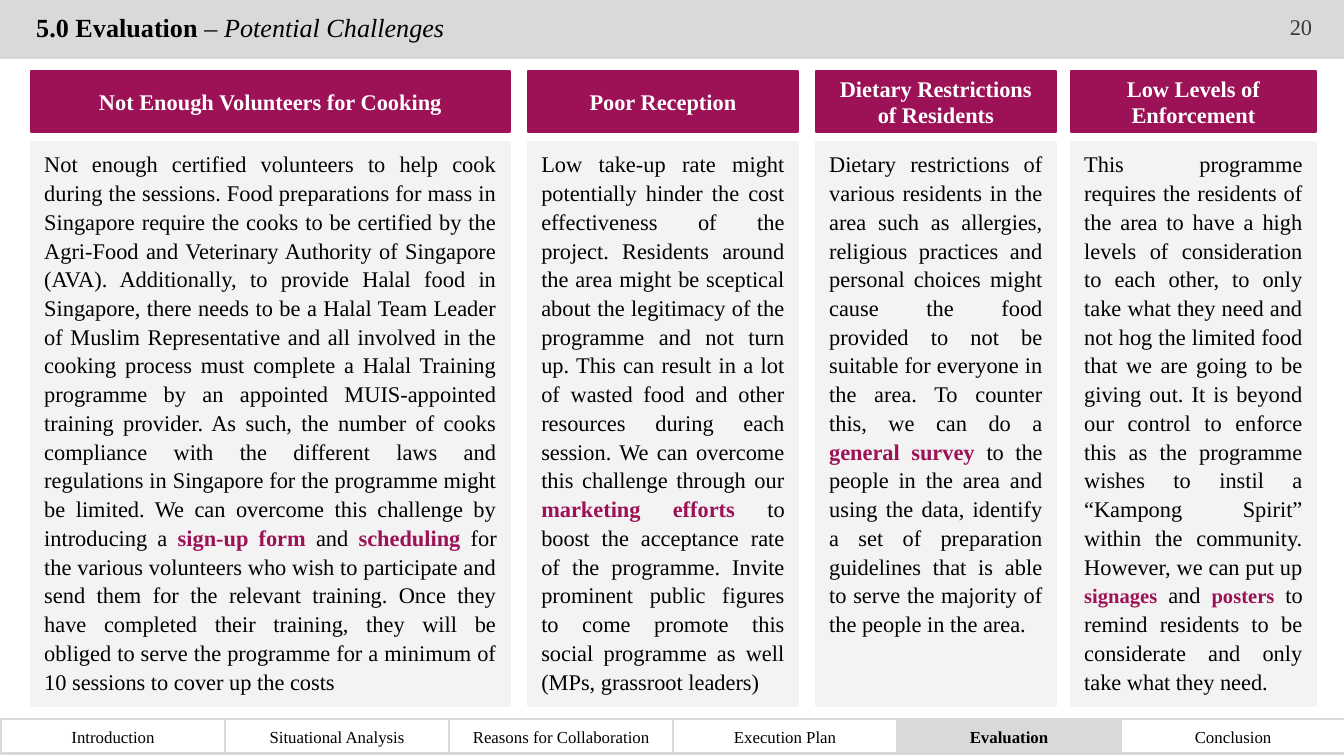
from pptx import Presentation
from pptx.dml.color import RGBColor
from pptx.enum.shapes import MSO_SHAPE
from pptx.enum.text import MSO_ANCHOR, PP_ALIGN
from pptx.util import Emu, Pt

EMU_PER_PX = 914400 / 134.4
FONT = "Times New Roman"
COLORS = {
    "bar": "D9D9D9",
    "accent": "9D1156",
    "panel": "F3F3F3",
    "text": "000000",
    "number": "3B3838",
    "white": "FFFFFF",
}

# Heading, left, width, emphasis size, body alternating plain and emphasised parts
CHALLENGES = [
    ("Not Enough Volunteers for Cooking", 31, 479, 12, [
        "Not enough certified volunteers to help cook during the sessions. Food "
        "preparations for mass in Singapore require the cooks to be certified by the "
        "Agri-Food and Veterinary Authority of Singapore (AVA). Additionally, to provide "
        "Halal food in Singapore, there needs to be a Halal Team Leader of Muslim "
        "Representative and all involved in the cooking process must complete a Halal "
        "Training programme by an appointed MUIS-appointed training provider. As such, "
        "the number of cooks compliance with the different laws and regulations in "
        "Singapore for the programme might be limited. We can overcome this challenge by "
        "introducing a ",
        "sign-up form", " and ", "scheduling",
        " for the various volunteers who wish to participate and send them for the "
        "relevant training. Once they have completed their training, they will be "
        "obliged to serve the programme for a minimum of 10 sessions to cover up the "
        "costs"]),
    ("Poor Reception", 528, 270, 12, [
        "Low take-up rate might potentially hinder the cost effectiveness of the project. "
        "Residents around the area might be sceptical about the legitimacy of the "
        "programme and not turn up. This can result in a lot of wasted food and other "
        "resources during each session. We can overcome this challenge through our ",
        "marketing efforts",
        " to boost the acceptance rate of the programme. Invite prominent public figures "
        "to come promote this social programme as well (MPs, grassroot leaders)"]),
    ("Dietary Restrictions of Residents", 816, 240, 12, [
        "Dietary restrictions of various residents in the area such as allergies, "
        "religious practices and personal choices might cause the food provided to not be "
        "suitable for everyone in the area. To counter this, we can do a ",
        "general survey ",
        "to the people in the area and using the data, identify a set of preparation "
        "guidelines that is able to serve the majority of the people in the area."]),
    ("Low Levels of Enforcement", 1071, 245, 11, [
        "This programme requires the residents of the area to have a high levels of "
        "consideration to each other, to only take what they need and not hog the limited "
        "food that we are going to be giving out. It is beyond our control to enforce this "
        "as the programme wishes to instil a “Kampong Spirit” within the community. "
        "However, we can put up ",
        "signages", " and ", "posters",
        " to remind residents to be considerate and only take what they need."]),
]
SECTIONS = ["Introduction", "Situational Analysis", "Reasons for Collaboration",
            "Execution Plan", "Evaluation", "Conclusion"]
CURRENT_SECTION = "Evaluation"


def px(length):
    return Emu(round(length * EMU_PER_PX))


def rgb(name):
    return RGBColor.from_string(COLORS[name])


class SlideBuilder:
    def __init__(self, slide):
        self.slide = slide

    def style(self, run, size, color="text", bold=False, italic=False):
        font = run.font
        font.name, font.size = FONT, Pt(size)
        font.bold, font.italic = bold, italic
        font.color.rgb = rgb(color)

    def box(self, left, top, width, height, fill, line=None, line_width=1):
        box = self.slide.shapes.add_shape(
            MSO_SHAPE.RECTANGLE, px(left), px(top), px(width), px(height))
        box.shadow.inherit = False
        box.fill.solid()
        box.fill.fore_color.rgb = rgb(fill)
        if line:
            box.line.color.rgb = rgb(line)
            box.line.width = Pt(line_width)
        else:
            box.line.fill.background()
        return box

    def label(self, box, text, size, color="text", bold=False):
        """Centre a single-style text in a box."""
        frame = box.text_frame
        frame.word_wrap = True
        frame.vertical_anchor = MSO_ANCHOR.MIDDLE
        frame.text = text
        paragraph = frame.paragraphs[0]
        paragraph.alignment = PP_ALIGN.CENTER
        self.style(paragraph.runs[0], size, color, bold)

    def text_box(self, left, top, width, height):
        return self.slide.shapes.add_textbox(px(left), px(top), px(width), px(height))

    def title(self, number, topic):
        frame = self.text_box(23, 0, 533, 58).text_frame
        frame.word_wrap = True
        frame.vertical_anchor = MSO_ANCHOR.MIDDLE
        paragraph = frame.paragraphs[0]
        paragraph.line_spacing = 0.9
        for text, emphasis in ((number, {"bold": True}), (topic, {"italic": True})):
            run = paragraph.add_run()
            run.text = text
            self.style(run, 14, **emphasis)

    def challenge(self, heading, left, width, emphasis_size, body):
        panel = self.box(left, 142, width, 564, "panel", "panel", 0.75)
        frame = panel.text_frame
        frame.word_wrap = True
        frame.vertical_anchor = MSO_ANCHOR.TOP
        paragraph = frame.paragraphs[0]
        paragraph.alignment = PP_ALIGN.JUSTIFY
        paragraph.line_spacing = 1.07
        paragraph.space_after = Pt(8)
        for index, text in enumerate(body):
            run = paragraph.add_run()
            run.text = text
            if index % 2:
                self.style(run, emphasis_size, "accent", bold=True)
            else:
                self.style(run, 12)
        header = self.box(left, 71, width, 61, "accent", "accent")
        self.label(header, heading, 12, "white", bold=True)

    def navigation(self, sections, current):
        for index, section in enumerate(sections):
            active = section == current
            tab = self.box(1 + 224 * index, 719, 224, 35,
                           "bar" if active else "white", "bar", 1.5)
            self.label(tab, section, 9, bold=active)


def main():
    deck = Presentation()
    deck.slide_width, deck.slide_height = px(1344), px(756)
    builder = SlideBuilder(deck.slides.add_slide(deck.slide_layouts[6]))
    builder.box(-1, 0, 1345, 59, "bar")
    builder.label(builder.text_box(1258, 0, 86, 54), "20", 12, "number")
    builder.title("5.0 Evaluation ", "– Potential Challenges")
    for challenge in CHALLENGES:
        builder.challenge(*challenge)
    builder.navigation(SECTIONS, CURRENT_SECTION)
    deck.save("out.pptx")


if __name__ == "__main__":
    main()
